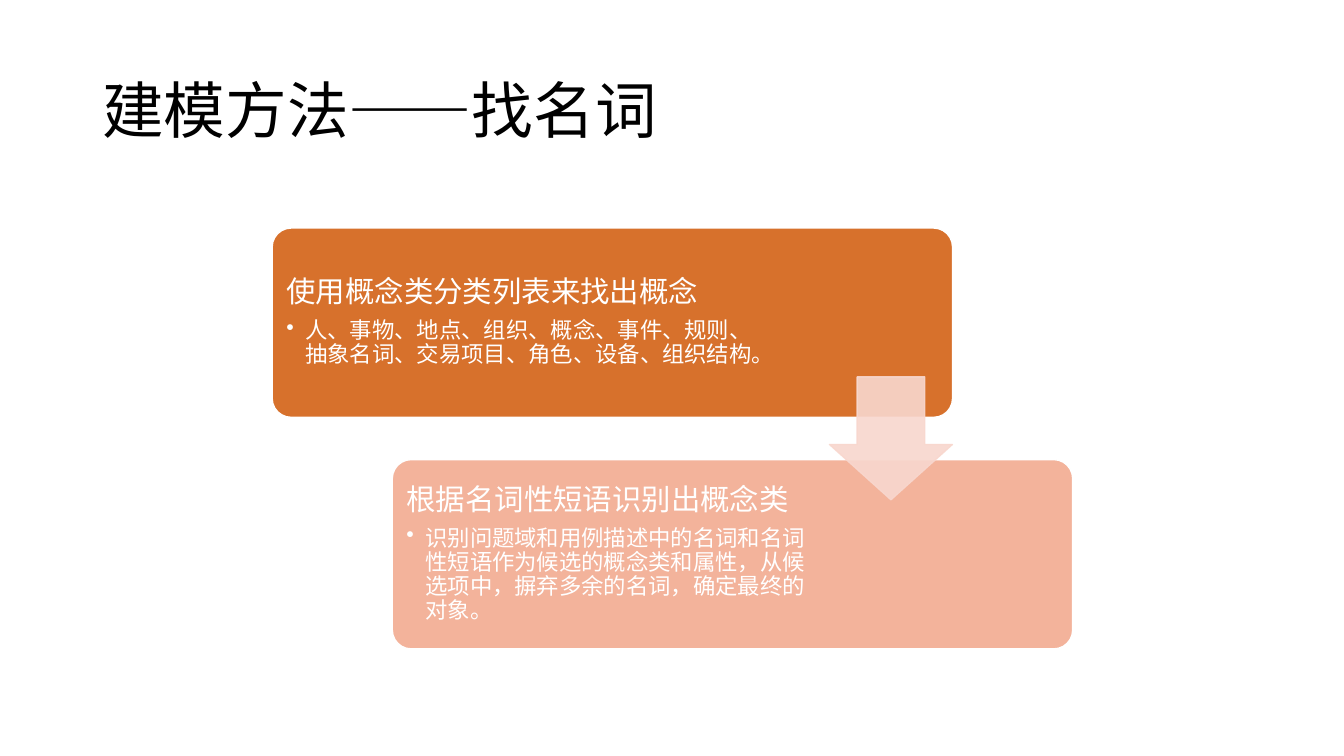
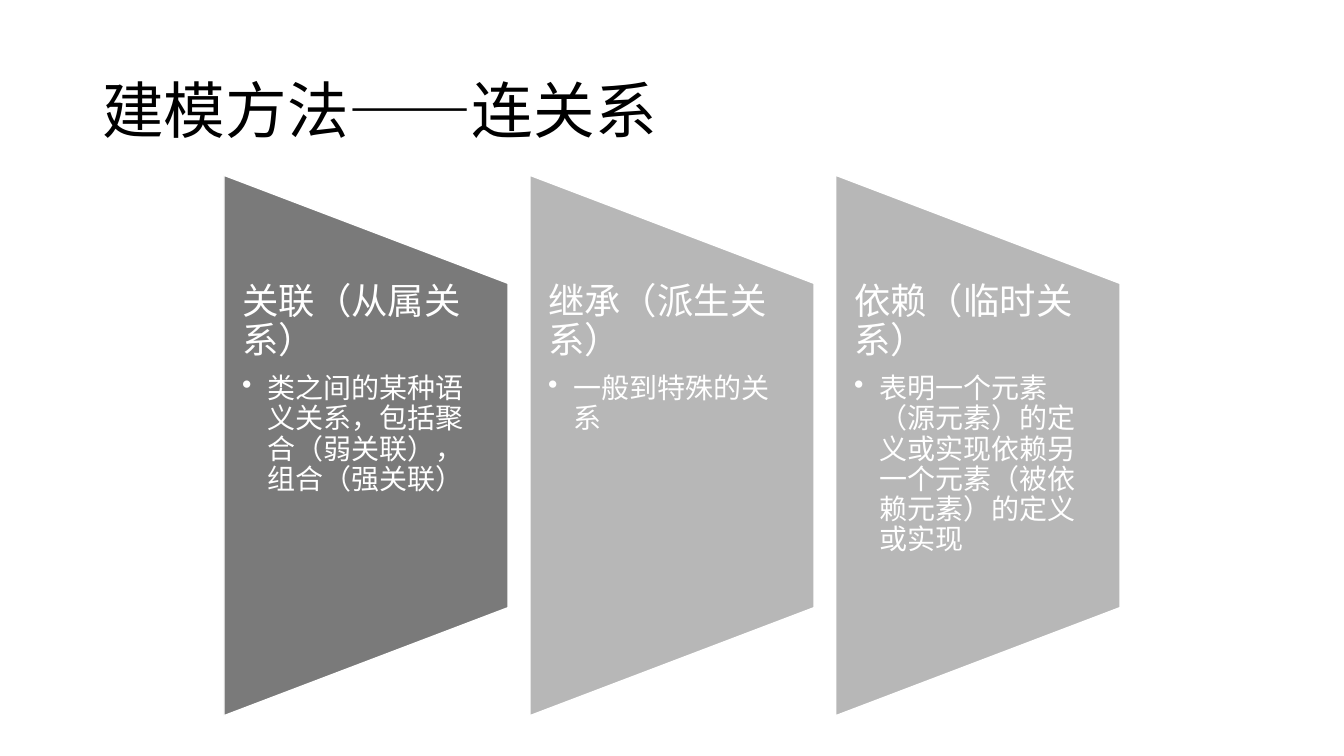
"""Build two slides on modelling methods: finding nouns and linking relations."""
from dataclasses import dataclass

from lxml.etree import SubElement
from pptx import Presentation
from pptx.dml.color import RGBColor
from pptx.enum.shapes import MSO_SHAPE
from pptx.enum.text import MSO_ANCHOR
from pptx.oxml.ns import qn
from pptx.util import Pt

WHITE, BLACK = "FFFFFF", "000000"
ORANGE, PEACH, BLUSH = "D7712C", "F3B39B", "F8D7CE"
DARK, LIGHT = "7A7A7A", "B7B7B7"
HEAD_FONT, BODY_FONT = "Noto Sans CJK SC", "DejaVu Sans"


@dataclass
class Box:
    left: float
    top: float
    width: float
    height: float

    def lengths(self) -> tuple:
        return tuple(Pt(n) for n in (self.left, self.top, self.width, self.height))


@dataclass
class Style:
    head: float
    body: float
    indent: float
    inset: tuple
    anchor: MSO_ANCHOR


@dataclass
class Topic:
    head: str
    body: str
    fill: str
    width: float


STEP = Style(21, 16, 13.5, (6.3, 6.3), MSO_ANCHOR.MIDDLE)
PANEL = Style(26, 20, 18, (13, 0), MSO_ANCHOR.TOP)

STEPS = [
    Topic("使用概念类分类列表来找出概念",
          "人、事物、地点、组织、概念、事件、规则、抽象名词、交易项目、角色、设备、组织结构。",
          ORANGE, 346.3),
    Topic("根据名词性短语识别出概念类",
          "识别问题域和用例描述中的名词和名词性短语作为候选的概念类和属性，从候选项中，摒弃多余的名词，确定最终的对象。",
          PEACH, 304.6),
]
PANELS = [
    Topic("关联（从属关系）",
          "类之间的某种语义关系，包括聚合（弱关联），组合（强关联）", DARK, 203),
    Topic("继承（派生关系）", "一般到特殊的关系", LIGHT, 203),
    Topic("依赖（临时关系）",
          "表明一个元素（源元素）的定义或实现依赖另一个元素（被依赖元素）的定义或实现",
          LIGHT, 203),
]


def tint(target, color: str, alpha: int = 100) -> None:
    target.solid()
    target.fore_color.rgb = RGBColor.from_string(color)
    if alpha < 100:
        node = target.fore_color._xFill[0]
        SubElement(node, qn("a:alpha"), val=str(alpha * 1000))


def format_line(par, size: float, font: str, color: str, after: float = 0) -> None:
    par.line_spacing = 0.9
    par.space_after = Pt(after)
    for run in par.runs:
        run.font.size = Pt(size)
        run.font.name = font
        tint(run.font.fill, color)
        SubElement(run.font._element, qn("a:ea"), typeface=font)


def add_bullet(par, indent: float) -> None:
    props = par._p.get_or_add_pPr()
    props.set("marL", str(Pt(indent)))
    props.set("indent", str(-Pt(indent)))
    SubElement(props, qn("a:buChar"), char="•")


def add_text(slide, box: Box, text: str, anchor: MSO_ANCHOR, inset: tuple):
    frame = slide.shapes.add_textbox(*box.lengths()).text_frame
    frame.word_wrap = True
    frame.vertical_anchor = anchor
    frame.margin_left = frame.margin_right = Pt(inset[0])
    frame.margin_top = frame.margin_bottom = Pt(inset[1])
    frame.text = text
    return frame.paragraphs


def add_title(slide, text: str) -> None:
    box = Box(66, 28.75, 828, 104.4)
    pars = add_text(slide, box, text, MSO_ANCHOR.MIDDLE, (7.2, 3.6))
    format_line(pars[0], 44, HEAD_FONT, BLACK)


def add_topic(slide, box: Box, topic: Topic, style: Style) -> None:
    text = f"{topic.head}\n{topic.body}"
    head, body = add_text(slide, box, text, style.anchor, style.inset)
    format_line(head, style.head, BODY_FONT, WHITE, 0.35 * style.head)
    format_line(body, style.body, BODY_FONT, WHITE, 0.15 * style.body)
    add_bullet(body, style.indent)


def add_block(slide, kind: MSO_SHAPE, box: Box, fill: str,
              line: str = WHITE, alpha: int = 100):
    shape = slide.shapes.add_shape(kind, *box.lengths())
    shape.shadow.inherit = False
    tint(shape.fill, fill, alpha)
    tint(shape.line.fill, line, alpha)
    shape.line.width = Pt(1)
    return shape


def draw_nouns(slide) -> None:
    add_title(slide, "建模方法——找名词")
    for i, topic in enumerate(STEPS):
        box = Box(194.4 + 85.8 * i, 162.9 + 165.4 * i, 486, 135.2)
        card = add_block(slide, MSO_SHAPE.ROUNDED_RECTANGLE, box, topic.fill)
        card.adjustments[0] = 0.1
        inner = Box(box.left + 3.9, box.top + 3.9, topic.width, 127.4)
        add_topic(slide, inner, topic, STEP)
    arrow = add_block(slide, MSO_SHAPE.DOWN_ARROW, Box(592.5, 269.2, 87.8, 87.8),
                      BLUSH, BLUSH, 90)
    arrow.adjustments[0] = 0.55
    arrow.adjustments[1] = 0.45


def draw_links(slide) -> None:
    add_title(slide, "建模方法——连关系")
    long, text_high, mid = 386, 231.8, 318.2
    for i, topic in enumerate(PANELS):
        left = 160 + 218.5 * i
        box = Box(left + (topic.width - long) / 2, mid - topic.width / 2,
                  long, topic.width)
        panel = add_block(slide, MSO_SHAPE.FLOWCHART_MANUAL_OPERATION, box, topic.fill)
        panel.rotation = 270
        inner = Box(left, mid - text_high / 2, topic.width, text_high)
        add_topic(slide, inner, topic, PANEL)


def main() -> None:
    deck = Presentation()
    deck.slide_width, deck.slide_height = Pt(960), Pt(540)
    for draw in (draw_nouns, draw_links):
        draw(deck.slides.add_slide(deck.slide_layouts[6]))
    deck.save("out.pptx")


if __name__ == "__main__":
    main()
